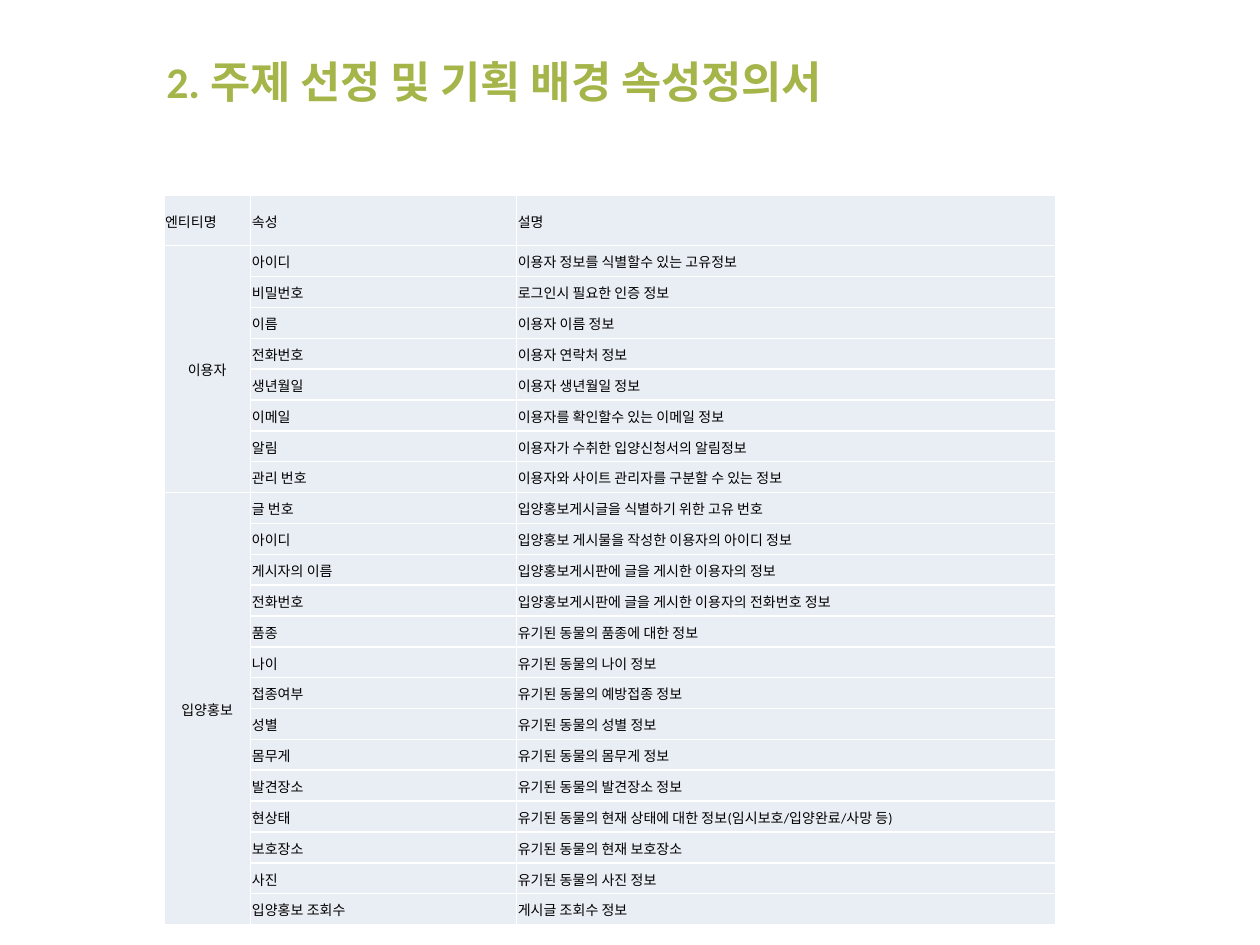
from lxml.etree import SubElement
from pptx import Presentation
from pptx.dml.color import RGBColor as Rgb
from pptx.enum.text import MSO_ANCHOR as Anchor, PP_ALIGN as Align
from pptx.oxml.ns import qn
from pptx.util import Inches, Pt

COLORS = {"title": "A5B54A", "text": "000000", "cell": "E9EDF4", "border": "FFFFFF"}
FONT = "Calibri"
TITLE = "2. 주제 선정 및 기획 배경 속성정의서"
HEADERS = ["엔티티명", "속성", "설명"]
COLUMN_WIDTHS = [0.69, 2.11, 4.28]
HEADER_HEIGHT, ROW_HEIGHT = 0.4, 0.245
ENTITIES = {
    "이용자": [
        ("아이디", "이용자 정보를 식별할수 있는 고유정보"),
        ("비밀번호", "로그인시 필요한 인증 정보"),
        ("이름", "이용자 이름 정보"),
        ("전화번호", "이용자 연락처 정보"),
        ("생년월일", "이용자 생년월일 정보"),
        ("이메일", "이용자를 확인할수 있는 이메일 정보"),
        ("알림", "이용자가 수취한 입양신청서의 알림정보"),
        ("관리 번호", "이용자와 사이트 관리자를 구분할 수 있는 정보"),
    ],
    "입양홍보": [
        ("글 번호", "입양홍보게시글을 식별하기 위한 고유 번호"),
        ("아이디", "입양홍보 게시물을 작성한 이용자의 아이디 정보"),
        ("게시자의 이름", "입양홍보게시판에 글을 게시한 이용자의 정보"),
        ("전화번호", "입양홍보게시판에 글을 게시한 이용자의 전화번호 정보"),
        ("품종", "유기된 동물의 품종에 대한 정보"),
        ("나이", "유기된 동물의 나이 정보"),
        ("접종여부", "유기된 동물의 예방접종 정보"),
        ("성별", "유기된 동물의 성별 정보"),
        ("몸무게", "유기된 동물의 몸무게 정보"),
        ("발견장소", "유기된 동물의 발견장소 정보"),
        ("현상태", "유기된 동물의 현재 상태에 대한 정보(임시보호/입양완료/사망 등)"),
        ("보호장소", "유기된 동물의 현재 보호장소"),
        ("사진", "유기된 동물의 사진 정보"),
        ("입양홍보 조회수", "게시글 조회수 정보"),
    ],
}


def style_paragraph(paragraph, size, color, align=Align.LEFT, bold=False):
    """Set the alignment and font of a paragraph."""
    paragraph.alignment = align
    font = paragraph.font
    font.name, font.size, font.bold = FONT, Pt(size), bold
    font.color.rgb = Rgb.from_string(COLORS[color])


def add_title(page):
    """Fill and place the title placeholder."""
    title = page.shapes.title
    title.left, title.top = Inches(1.22), Inches(0.25)
    title.width, title.height = Inches(8.28), Inches(0.79)
    title.text_frame.text = TITLE
    title.text_frame.vertical_anchor = Anchor.MIDDLE
    style_paragraph(title.text_frame.paragraphs[0], 25, "title", bold=True)


def format_cell(cell):
    """Give a cell its borders, fill, margins and anchor."""
    properties = cell._tc.get_or_add_tcPr()
    for side in ("lnL", "lnR", "lnT", "lnB"):
        line = SubElement(properties, qn(f"a:{side}"), w=str(Pt(1)))
        fill = SubElement(line, qn("a:solidFill"))
        SubElement(fill, qn("a:srgbClr"), val=COLORS["border"])
    cell.fill.solid()
    cell.fill.fore_color.rgb = Rgb.from_string(COLORS["cell"])
    cell.margin_left = cell.margin_right = cell.margin_top = Inches(0.01)
    cell.margin_bottom = 0
    cell.vertical_anchor = Anchor.MIDDLE


def write_cell(cell, text, align=Align.LEFT):
    """Write one line of table text."""
    cell.text = text
    style_paragraph(cell.text_frame.paragraphs[0], 8, "text", align)


def add_attribute_table(page):
    """Build the table of entities, attributes and descriptions."""
    row_count = 1 + sum(len(attributes) for attributes in ENTITIES.values())
    height = HEADER_HEIGHT + ROW_HEIGHT * (row_count - 1)
    table = page.shapes.add_table(
        row_count, len(HEADERS), Inches(1.3), Inches(1.55),
        Inches(sum(COLUMN_WIDTHS)), Inches(height)).table
    for column, width in zip(table.columns, COLUMN_WIDTHS):
        column.width = Inches(width)
    for index, row in enumerate(table.rows):
        row.height = Inches(ROW_HEIGHT if index else HEADER_HEIGHT)
    for cell in table.iter_cells():
        format_cell(cell)
        style_paragraph(cell.text_frame.paragraphs[0], 8, "text")
    for index, header in enumerate(HEADERS):
        write_cell(table.cell(0, index), header)
    first = 1
    for entity, attributes in ENTITIES.items():
        last = first + len(attributes) - 1
        table.cell(first, 0).merge(table.cell(last, 0))
        write_cell(table.cell(first, 0), entity, Align.CENTER)
        for index, (attribute, description) in enumerate(attributes, first):
            write_cell(table.cell(index, 1), attribute)
            write_cell(table.cell(index, 2), description)
        first = last + 1


def main():
    """Create the deck and save it."""
    deck = Presentation()
    deck.slide_width, deck.slide_height = Inches(10), Inches(7.5)
    page = deck.slides.add_slide(deck.slide_layouts[5])
    add_title(page)
    add_attribute_table(page)
    deck.save("out.pptx")


if __name__ == "__main__":
    main()
